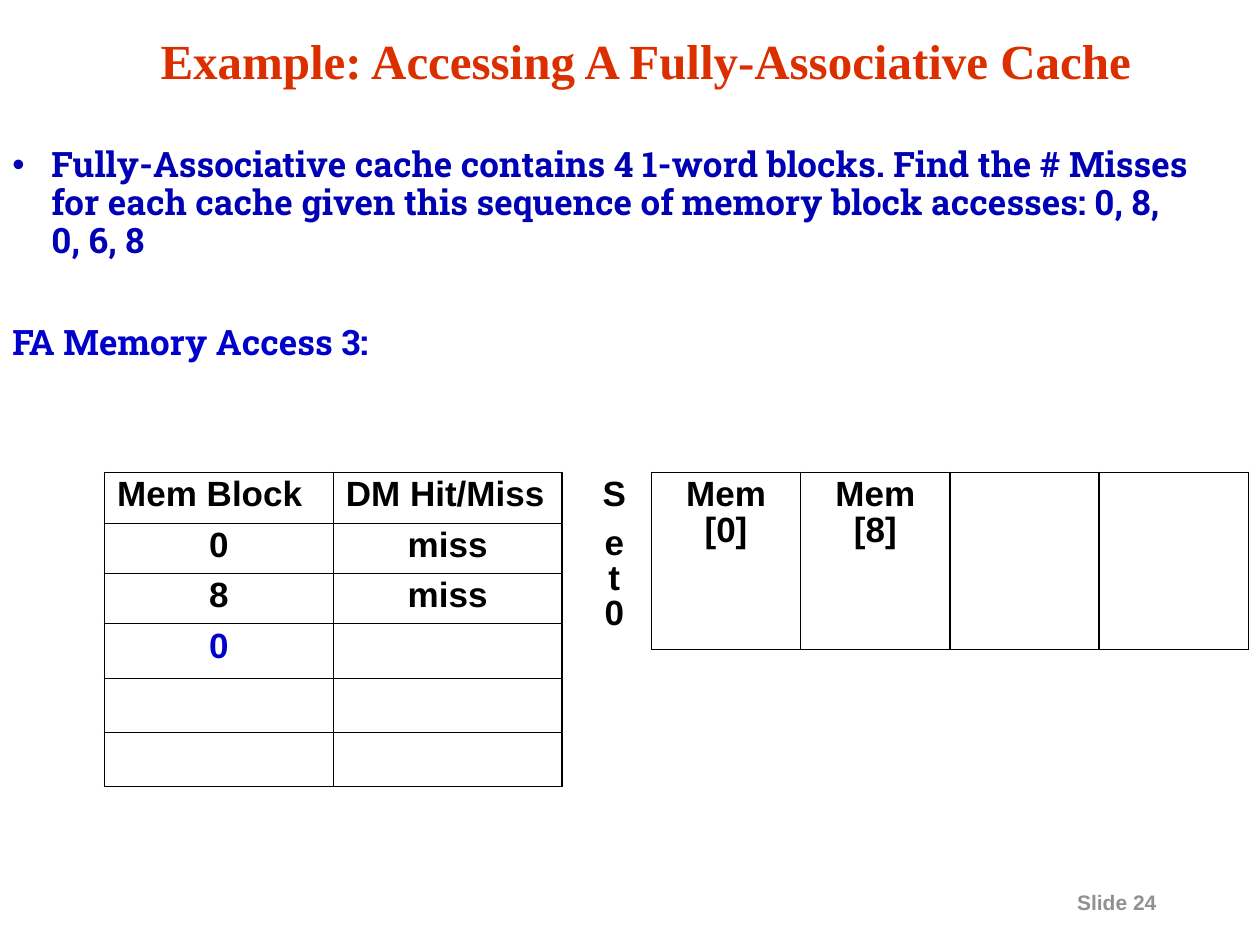
from dataclasses import dataclass

import pptx
import pptx.dml.color
import pptx.enum.text
import pptx.oxml
import pptx.oxml.ns
import pptx.util
from pptx.util import Inches

COLORS = {
    "title": "DC2F00",
    "question": "0000B4",
    "current": "0000CC",
    "text": "000000",
    "footer": "919191",
}
ALIGN = pptx.enum.text.PP_ALIGN
THICK, THIN = 1.08, 0.45
LINE_SPACING = 0.9
PARAGRAPH_GAP = 7.5


@dataclass
class TextStyle:
    size: float
    font: str
    color: str
    align: ALIGN = ALIGN.LEFT


@dataclass
class Grid:
    left: float
    top: float
    columns: list[float]
    rows: list[float]
    texts: list[list[str]]


TITLE = TextStyle(28, "Times New Roman", "title", ALIGN.CENTER)
QUESTION = TextStyle(20, "Roboto Slab", "question")
STEP = TextStyle(20, "Roboto Slab", "current")
HEADER = TextStyle(20, "Arial", "text")
ENTRY = TextStyle(20, "Arial", "text", ALIGN.CENTER)
CURRENT_ENTRY = TextStyle(20, "Arial", "current", ALIGN.CENTER)
FOOTER = TextStyle(12, "Arial", "footer")

CACHE_SET = Grid(
    4.58, 3.75, [0.59] + [(5.33 - 0.59) / 4] * 4, [1.4],
    [["S\ne\vt\v0", "Mem [0]", "Mem [8]", "", ""]],
)
ACCESSES = Grid(
    0.83, 3.75, [3.63 / 2] * 2, [0.4] * 3 + [0.43] * 3,
    [["Mem Block", "DM Hit/Miss"], ["0", "miss"], ["8", "miss"],
     ["0", ""], ["", ""], ["", ""]],
)


def style_paragraph(paragraph, style: TextStyle, space_before: float = 0) -> None:
    paragraph.alignment = style.align
    paragraph.line_spacing = LINE_SPACING
    paragraph.space_before = pptx.util.Pt(space_before)
    for run in paragraph.runs:
        run.font.size = pptx.util.Pt(style.size)
        run.font.name = style.font
        run.font.bold = True
        run.font.color.rgb = pptx.dml.color.RGBColor.from_string(COLORS[style.color])


def add_bullet(paragraph, indent: float, color: str) -> None:
    properties = paragraph._p.get_or_add_pPr()
    properties.set("marL", str(Inches(indent)))
    properties.set("indent", str(-Inches(indent)))
    namespace = pptx.oxml.ns.nsdecls("a")
    for xml in (
        f'<a:buClr {namespace}><a:srgbClr val="{COLORS[color]}"/></a:buClr>',
        f'<a:buFont {namespace} typeface="Arial"/>',
        f'<a:buChar {namespace} char="•"/>',
    ):
        properties.append(pptx.oxml.parse_xml(xml))


def set_border(cell, side: str, width: float) -> None:
    """Draw one cell side (L, R, T or B); a width of 0 hides it."""
    if width:
        line = f'<a:solidFill><a:srgbClr val="{COLORS["text"]}"/></a:solidFill>'
    else:
        line = "<a:noFill/>"
    cell._tc.get_or_add_tcPr().append(pptx.oxml.parse_xml(
        f'<a:ln{side} {pptx.oxml.ns.nsdecls("a")} '
        f'w="{pptx.util.Pt(width)}">{line}</a:ln{side}>'))


def access_borders(row: int, column: int) -> dict[str, float]:
    last_row, last_column = len(ACCESSES.rows) - 1, len(ACCESSES.columns) - 1
    return {
        "L": THICK if column == 0 else THIN,
        "R": THICK if column == last_column else THIN,
        "T": THICK if row == 0 else THIN,
        "B": THICK if row == last_row else THIN,
    }


def set_borders(row: int, column: int) -> dict[str, float]:
    label = column == 0
    return {side: 0 if label and side != "R" else THICK for side in "LRTB"}


def access_style(row: int, column: int) -> TextStyle:
    if row == 0:
        return HEADER
    return CURRENT_ENTRY if row == 3 else ENTRY


def set_style(row: int, column: int) -> TextStyle:
    return ENTRY


def add_grid(slide, grid: Grid, borders, style) -> None:
    table = slide.shapes.add_table(
        len(grid.rows), len(grid.columns), Inches(grid.left), Inches(grid.top),
        Inches(sum(grid.columns)), Inches(sum(grid.rows))).table
    table.first_row = table.horz_banding = False
    for column, width in zip(table.columns, grid.columns):
        column.width = Inches(width)
    for row, height in zip(table.rows, grid.rows):
        row.height = Inches(height)
    for r, texts in enumerate(grid.texts):
        for c, text in enumerate(texts):
            cell = table.cell(r, c)
            for side, width in borders(r, c).items():
                set_border(cell, side, width)
            cell.fill.background()
            cell.text_frame.text = text
            for index, paragraph in enumerate(cell.text_frame.paragraphs):
                style_paragraph(paragraph, style(r, c), PARAGRAPH_GAP if index else 0)


def add_text_box(slide, left: float, top: float, width: float, height: float,
                 text: str, wrap: bool):
    frame = slide.shapes.add_textbox(
        Inches(left), Inches(top), Inches(width), Inches(height)).text_frame
    frame.word_wrap = wrap
    frame.text = text
    return frame


def main() -> None:
    deck = pptx.Presentation()
    deck.slide_width, deck.slide_height = Inches(10), Inches(7.5)
    slide = deck.slides.add_slide(deck.slide_layouts[5])

    # Title
    title = slide.shapes.title
    title.left, title.top = Inches(0.25), Inches(0.17)
    title.width, title.height = Inches(9.75), Inches(0.67)
    title.text_frame.text = "Example: Accessing A Fully-Associative Cache"
    title.text_frame.vertical_anchor = pptx.enum.text.MSO_ANCHOR.MIDDLE
    style_paragraph(title.text_frame.paragraphs[0], TITLE)

    # Slide number
    footer = add_text_box(slide, 8.45, 7.01, 1.45, 0.3, "Slide 24", False)
    style_paragraph(footer.paragraphs[0], FOOTER)
    footer.paragraphs[0].line_spacing = 1.0

    # Question and current step
    body = add_text_box(
        slide, 0, 1.12, 9.58, 2.63,
        "Fully-Associative cache contains 4 1-word blocks. Find the # Misses "
        "for each cache given this sequence of memory block accesses: "
        "0, 8, 0, 6, 8\nFA Memory Access 3:", True)
    question, step = body.paragraphs
    add_bullet(question, 0.31, "question")
    style_paragraph(question, QUESTION)
    style_paragraph(step, STEP, 36.7)

    # Cache contents and access history
    add_grid(slide, CACHE_SET, set_borders, set_style)
    add_grid(slide, ACCESSES, access_borders, access_style)

    deck.save("out.pptx")


if __name__ == "__main__":
    main()
